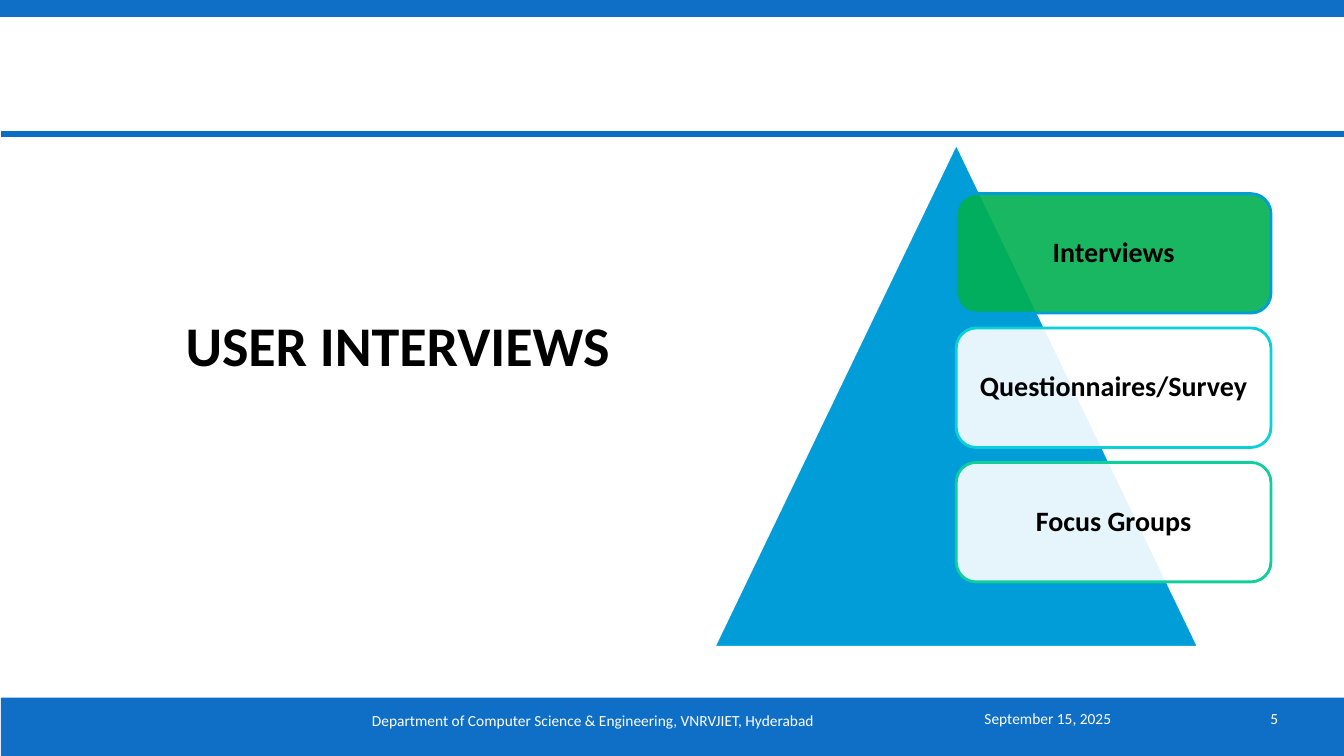
from dataclasses import dataclass

from lxml import etree
from pptx import Presentation
from pptx.dml.color import RGBColor
from pptx.enum import shapes, text
from pptx.oxml import ns
from pptx.util import Cm, Pt


@dataclass(frozen=True)
class Theme:
    font: str = "Calibri"
    title_size: int = 40
    card_size: int = 20
    footer_size: int = 11
    band: str = "0F6FC6"
    rule: str = "0A6DC6"
    pyramid: str = "009DD9"
    highlight: str = "00B050"
    cyan: str = "0BD0D9"
    mint: str = "10CF9B"
    white: str = "FFFFFF"
    black: str = "000000"


THEME = Theme()
WIDTH, HEIGHT = 33.87, 19.05
SHAPE = shapes.MSO_SHAPE
ALIGN = text.PP_ALIGN
ANCHOR = text.MSO_ANCHOR


def write_text(frame, content, size, color, bold=False, align=ALIGN.LEFT,
               anchor=ANCHOR.MIDDLE, insets=(0.25, 0.13, 0.25, 0.13), spacing=None):
    """Fill a text frame with one formatted paragraph."""
    frame.word_wrap = True
    frame.auto_size = text.MSO_AUTO_SIZE.NONE
    frame.vertical_anchor = anchor
    (frame.margin_left, frame.margin_top,
     frame.margin_right, frame.margin_bottom) = [Cm(inset) for inset in insets]
    paragraph = frame.paragraphs[0]
    paragraph.alignment = align
    paragraph.line_spacing = spacing
    run = paragraph.add_run()
    run.text = content
    run.font.name = THEME.font
    run.font.size = Pt(size)
    run.font.bold = bold
    run.font.color.rgb = RGBColor.from_string(color)


def add_block(slide, kind, box, fill, line=None, opacity=None):
    """Add a filled shape, with an optional outline and opacity in percent."""
    shape = slide.shapes.add_shape(kind, *[Cm(length) for length in box])
    shape.shadow.inherit = False
    shape.fill.solid()
    shape.fill.fore_color.rgb = RGBColor.from_string(fill)
    if opacity is not None:
        color = shape.fill._xPr.find(ns.qn("a:solidFill"))[0]
        etree.SubElement(color, ns.qn("a:alpha")).set("val", str(opacity * 1000))
    if line:
        shape.line.color.rgb = RGBColor.from_string(line)
        shape.line.width = Pt(2)
    else:
        shape.line.fill.background()
    return shape


def add_header(slide, left, top, width, height):
    """Top band with a rule along the lower edge of the header."""
    add_block(slide, SHAPE.RECTANGLE, (left, top, width, 0.43), THEME.band)
    rule = slide.shapes.add_connector(
        shapes.MSO_CONNECTOR.STRAIGHT,
        Cm(left + 0.02), Cm(top + height), Cm(left + width), Cm(top + height))
    rule.line.color.rgb = RGBColor.from_string(THEME.rule)
    rule.line.width = Pt(4)
    etree.SubElement(rule._element.spPr, ns.qn("a:effectLst"))


def add_footer(slide, left, top, width, height):
    """Bottom band with department, date and slide number."""
    add_block(slide, SHAPE.RECTANGLE, (left + 0.02, top, width, height), THEME.band)
    entries = [
        ("September 15, 2025", 24.56, 0.02, 4.8, ALIGN.LEFT, 0.25),
        ("Department of Computer Science & Engineering, VNRVJIET, Hyderabad",
         5.64, 0.07, 18.62, ALIGN.CENTER, 0.25),
        ("5", 29.64, 0.02, 2.82, ALIGN.RIGHT, 0),
    ]
    for content, x, y, entry_width, align, inset in entries:
        entry = slide.shapes.add_textbox(
            Cm(left + x), Cm(top + y), Cm(entry_width), Cm(1.02))
        write_text(entry.text_frame, content, THEME.footer_size, THEME.white,
                   align=align, insets=(inset, 0.13, 0.25, 0.13))


def add_title(slide, left, top, width, height):
    """Place the title placeholder in its box."""
    title = slide.shapes.title
    title.left, title.top, title.width, title.height = (
        Cm(left), Cm(top), Cm(width), Cm(height))
    write_text(title.text_frame, "USER INTERVIEWS", THEME.title_size, THEME.black,
               bold=True, align=ALIGN.CENTER, anchor=ANCHOR.TOP)


def add_pyramid(slide, left, top, width, height):
    """Triangle with a column of cards starting at its centre line."""
    base = 12.22
    add_block(slide, SHAPE.ISOSCELES_TRIANGLE, (left, top, base, height),
              THEME.pyramid, THEME.white)
    cards = [
        ("Interviews", THEME.highlight, THEME.pyramid),
        ("Questionnaires/Survey", THEME.white, THEME.cyan),
        ("Focus Groups", THEME.white, THEME.mint),
    ]
    card_height = 3.01
    pitch = card_height * 1.125
    for index, (label, fill, line) in enumerate(cards):
        box = (left + base / 2, top + height / 10 + index * pitch,
               width - base / 2, card_height)
        card = add_block(slide, SHAPE.ROUNDED_RECTANGLE, box, fill, line, opacity=90)
        write_text(card.text_frame, label, THEME.card_size, THEME.black, bold=True,
                   align=ALIGN.CENTER, insets=(0.2,) * 4, spacing=0.9)


def main():
    presentation = Presentation()
    presentation.slide_width, presentation.slide_height = Cm(WIDTH), Cm(HEIGHT)
    slide = presentation.slides.add_slide(presentation.slide_layouts[5])
    add_header(slide, 0, 0, WIDTH, 3.38)
    add_footer(slide, 0, 17.58, WIDTH, HEIGHT - 17.58)
    add_title(slide, 2.26, 7.7, 15.52, 3.78)
    add_pyramid(slide, 17.99, 3.61, 14.04, 12.7)
    presentation.save("out.pptx")


if __name__ == "__main__":
    main()
